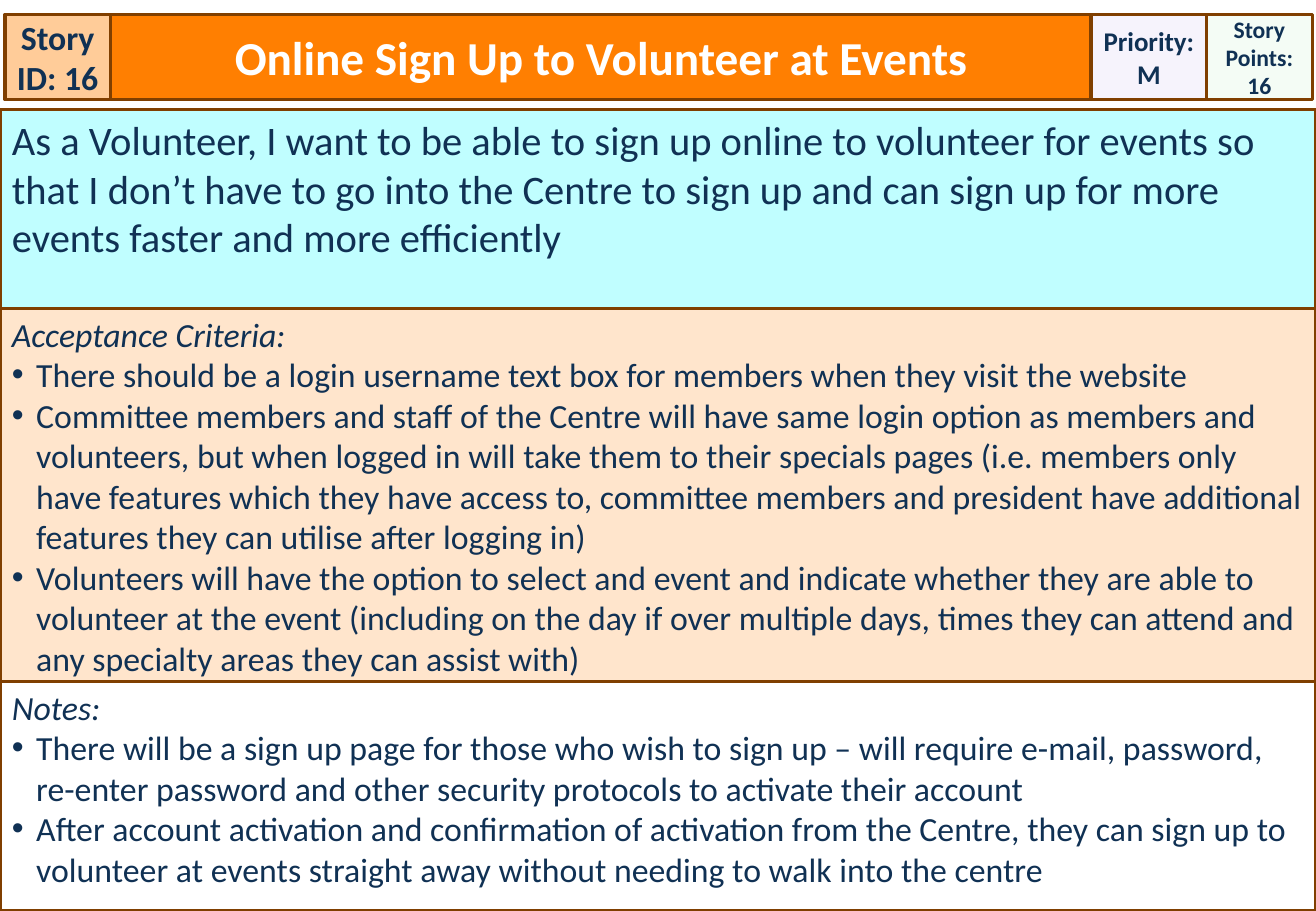
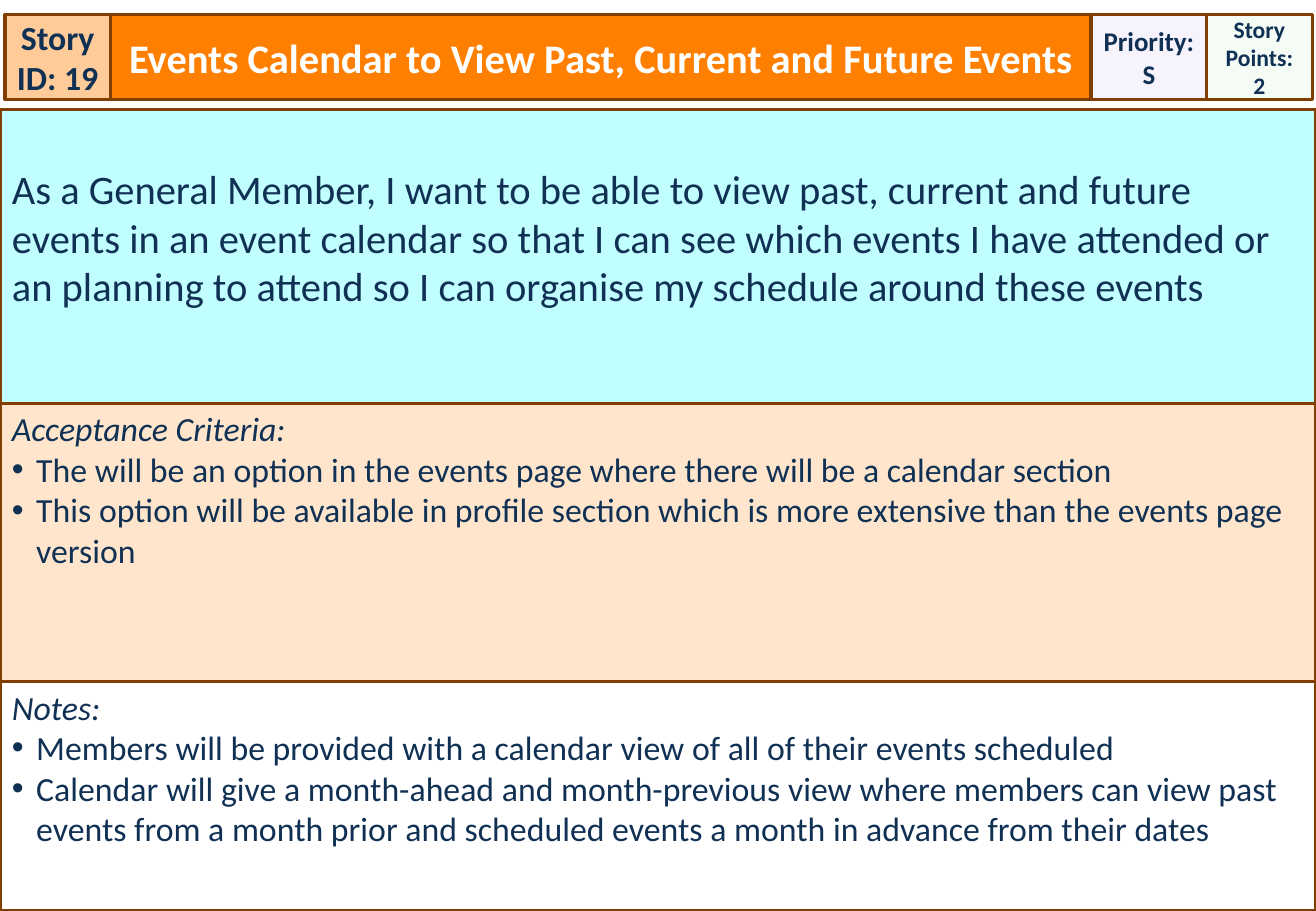
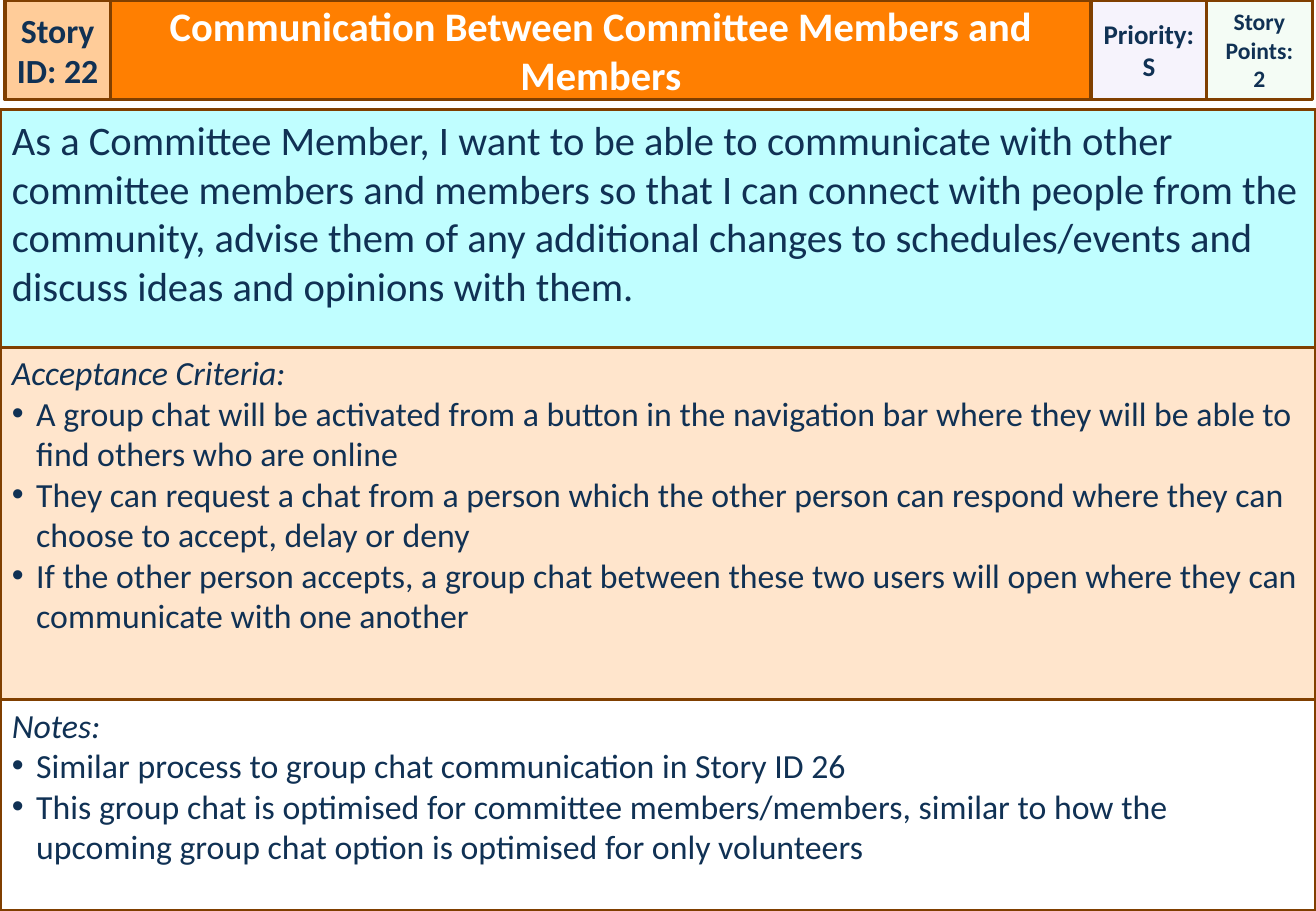
from dataclasses import dataclass

from lxml.etree import SubElement
from pptx import Presentation
from pptx.dml.color import RGBColor
from pptx.enum.shapes import MSO_SHAPE
from pptx.enum.text import MSO_ANCHOR, PP_ALIGN
from pptx.oxml.ns import qn
from pptx.util import Pt

EMU_PER_PX = 9144
PAGE_WIDTH, PAGE_HEIGHT = 1083, 750
HEADER_BOTTOM, STORY_TOP = 82, 90
COLUMN_EDGES = (4, 91, 898, 993, 1080)
BULLET_INDENT = 20
NARROW_INSETS = (0, 5, 0, 5)
TITLE_INSETS = (10, 5, 10, 5)
LIST_INSETS = (10, 4, 10, 5)


@dataclass(frozen=True)
class Theme:
    """Colours, type sizes and font shared by every card."""

    font: str = "Calibri"
    ink: str = "103154"
    white: str = "FFFFFF"
    border: str = "803F00"
    identifier: str = "FFCC99"
    title: str = "FF7F01"
    priority: str = "F6F3FC"
    points: str = "CCF0CD"
    story: str = "C0FEFF"
    criteria: str = "FFE5CC"
    story_size: int = 24
    list_size: int = 20
    priority_size: int = 16
    points_size: int = 14
    border_width: int = 2


THEME = Theme()


@dataclass(frozen=True)
class Card:
    """Content of one user story and the places where its bands begin."""

    number: int
    title: str
    priority: str
    points: int
    story: str
    criteria: tuple
    remarks: tuple
    criteria_top: int
    remarks_top: int = 561
    header_top: int = 12
    title_size: int = 24
    story_inset: int = 5


CARDS = (
    Card(
        number=16,
        title="Online Sign Up to Volunteer at Events",
        priority="M",
        points=16,
        story="As a Volunteer, I want to be able to sign up online to volunteer for events so "
        "that I don’t have to go into the Centre to sign up and can sign up for more "
        "events faster and more efficiently",
        criteria=(
            "There should be a login username text box for members when they visit the website",
            "Committee members and staff of the Centre will have same login option as members and "
            "volunteers, but when logged in will take them to their specials pages (i.e. members only "
            "have features which they have access to, committee members and president have additional "
            "features they can utilise after logging in)",
            "Volunteers will have the option to select and event and indicate whether they are able to "
            "volunteer at the event (including on the day if over multiple days, times they can attend and "
            "any specialty areas they can assist with)",
        ),
        remarks=(
            "There will be a sign up page for those who wish to sign up – will require e-mail, password, "
            "re-enter password and other security protocols to activate their account",
            "After account activation and confirmation of activation from the Centre, they can sign up to "
            "volunteer at events straight away without needing to walk into the centre",
        ),
        criteria_top=254,
        title_size=28,
    ),
    Card(
        number=19,
        title="Events Calendar to View Past, Current and Future Events",
        priority="S",
        points=2,
        story="As a General Member, I want to be able to view past, current and future "
        "events in an event calendar so that I can see which events I have attended or "
        "an planning to attend so I can organise my schedule around these events",
        criteria=(
            "The will be an option in the events page where there will be a calendar section",
            "This option will be available in profile section which is more extensive than the events page "
            "version",
        ),
        remarks=(
            "Members will be provided with a calendar view of all of their events scheduled",
            "Calendar will give a month-ahead and month-previous view where members can view past "
            "events from a month prior and scheduled events a month in advance from their dates",
        ),
        criteria_top=332,
        story_inset=45,
    ),
    Card(
        number=22,
        title="Communication Between Committee Members and Members",
        priority="S",
        points=2,
        story="As a Committee Member, I want to be able to communicate with other "
        "committee members and members so that I can connect with people from the "
        "community, advise them of any additional changes to schedules/events and "
        "discuss ideas and opinions with them.",
        criteria=(
            "A group chat will be activated from a button in the navigation bar where they will be able to "
            "find others who are online",
            "They can request a chat from a person which the other person can respond where they can "
            "choose to accept, delay or deny",
            "If the other person accepts, a group chat between these two users will open where they can "
            "communicate with one another",
        ),
        remarks=(
            "Similar process to group chat communication in Story ID 26",
            "This group chat is optimised for committee members/members, similar to how the "
            "upcoming group chat option is optimised for only volunteers",
        ),
        criteria_top=286,
        remarks_top=576,
        header_top=0,
    ),
)


def px(length):
    """Turn whole pixels into EMU."""
    return length * EMU_PER_PX


def rgb(code):
    """Turn a hex code into a colour."""
    return RGBColor.from_string(code)


def add_box(page, left, top, right, bottom, fill, insets, anchor=MSO_ANCHOR.TOP, wrap=True, opacity=100):
    """Draw a bordered rectangle between two corners and return it."""
    box = page.shapes.add_shape(
        MSO_SHAPE.RECTANGLE, px(left), px(top), px(right - left), px(bottom - top)
    )
    box.shadow.inherit = False
    box.fill.solid()
    box.fill.fore_color.rgb = rgb(fill)
    if opacity < 100:
        colour = box._element.spPr.find(qn("a:solidFill"))[0]
        SubElement(colour, qn("a:alpha"), val=str(opacity * 1000))
    box.line.color.rgb = rgb(THEME.border)
    box.line.width = Pt(THEME.border_width)
    frame = box.text_frame
    frame.word_wrap = wrap
    frame.vertical_anchor = anchor
    frame.margin_left, frame.margin_top, frame.margin_right, frame.margin_bottom = map(px, insets)
    return box


def add_text(box, text, size, colour=THEME.ink, bold=False, italic=False, align=PP_ALIGN.LEFT, bullet=False):
    """Write one paragraph into a box, using its first paragraph while empty."""
    frame = box.text_frame
    para = frame.paragraphs[0] if not frame.text else frame.add_paragraph()
    para.alignment = align
    if bullet:
        properties = para._p.get_or_add_pPr()
        properties.set("marL", str(px(BULLET_INDENT)))
        properties.set("indent", str(-px(BULLET_INDENT)))
        SubElement(properties, qn("a:buFont"), typeface="Arial")
        SubElement(properties, qn("a:buChar"), char="•")
    span = para.add_run()
    span.text = text
    span.font.name = THEME.font
    span.font.size = Pt(size)
    span.font.bold = bold
    span.font.italic = italic
    span.font.color.rgb = rgb(colour)


def add_header(page, card):
    """Draw the row of identifier, title, priority and points."""
    cells = (
        ((f"Story ID: {card.number}",), THEME.list_size, THEME.ink,
         dict(fill=THEME.identifier, insets=NARROW_INSETS)),
        ((card.title,), card.title_size, THEME.white,
         dict(fill=THEME.title, insets=TITLE_INSETS)),
        (("Priority:", card.priority), THEME.priority_size, THEME.ink,
         dict(fill=THEME.priority, insets=NARROW_INSETS, wrap=False)),
        (("Story Points:", str(card.points)), THEME.points_size, THEME.ink,
         dict(fill=THEME.points, insets=NARROW_INSETS, opacity=20)),
    )
    for left, right, (lines, size, colour, style) in zip(COLUMN_EDGES, COLUMN_EDGES[1:], cells):
        box = add_box(page, left, card.header_top, right, HEADER_BOTTOM, anchor=MSO_ANCHOR.MIDDLE, **style)
        for line in lines:
            add_text(box, line, size, colour=colour, bold=True, align=PP_ALIGN.CENTER)


def add_story(page, card):
    """Draw the band that tells the story."""
    insets = (10, card.story_inset, 10, 5)
    box = add_box(page, 0, STORY_TOP, PAGE_WIDTH, card.criteria_top, THEME.story, insets)
    add_text(box, card.story, THEME.story_size)


def add_list(page, heading, items, top, bottom, fill):
    """Draw a full-width band with an italic heading and bullets."""
    box = add_box(page, 0, top, PAGE_WIDTH, bottom, fill, LIST_INSETS)
    add_text(box, heading, THEME.list_size, italic=True)
    for item in items:
        add_text(box, item, THEME.list_size, bullet=True)


def main():
    """Build one page per card and save the deck."""
    deck = Presentation()
    deck.slide_width, deck.slide_height = px(PAGE_WIDTH), px(PAGE_HEIGHT)
    for card in CARDS:
        page = deck.slides.add_slide(deck.slide_layouts[6])
        add_header(page, card)
        add_story(page, card)
        add_list(page, "Acceptance Criteria:", card.criteria, card.criteria_top, card.remarks_top, THEME.criteria)
        add_list(page, "Notes:", card.remarks, card.remarks_top, PAGE_HEIGHT, THEME.white)
    deck.save("out.pptx")


if __name__ == "__main__":
    main()
